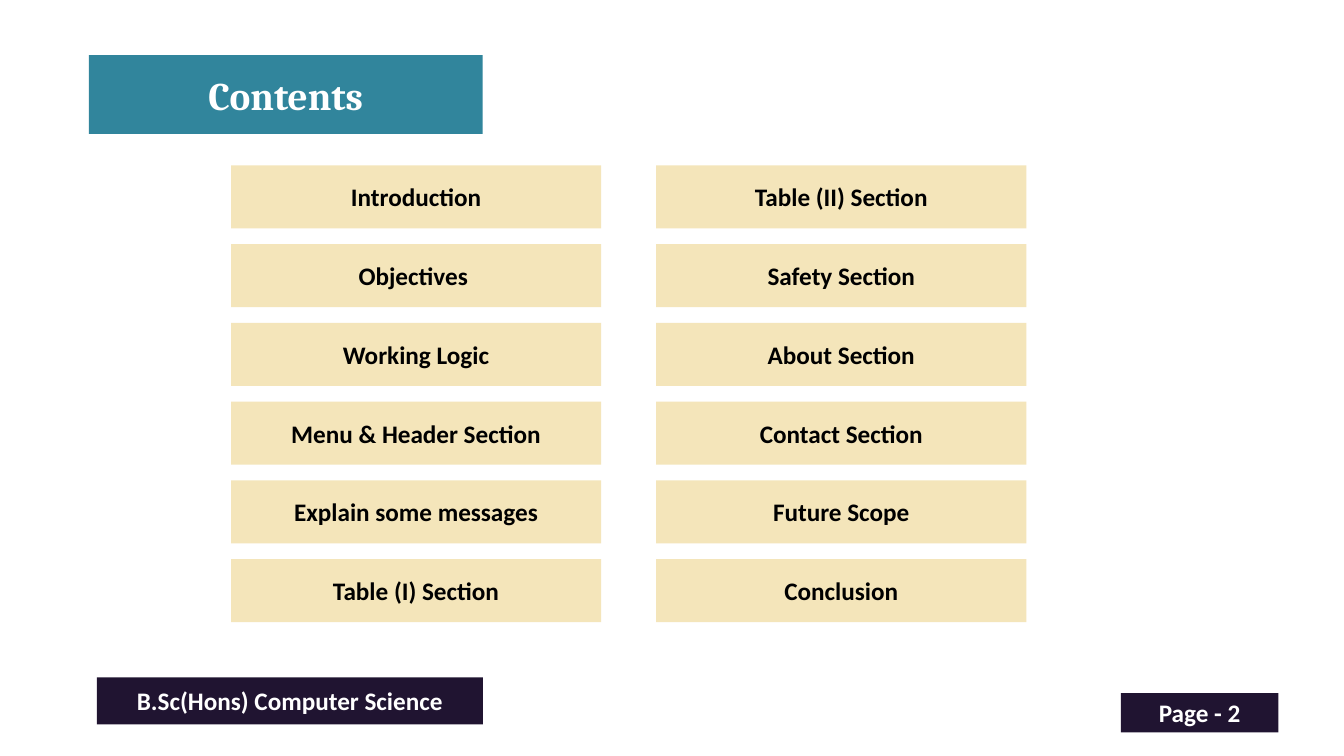
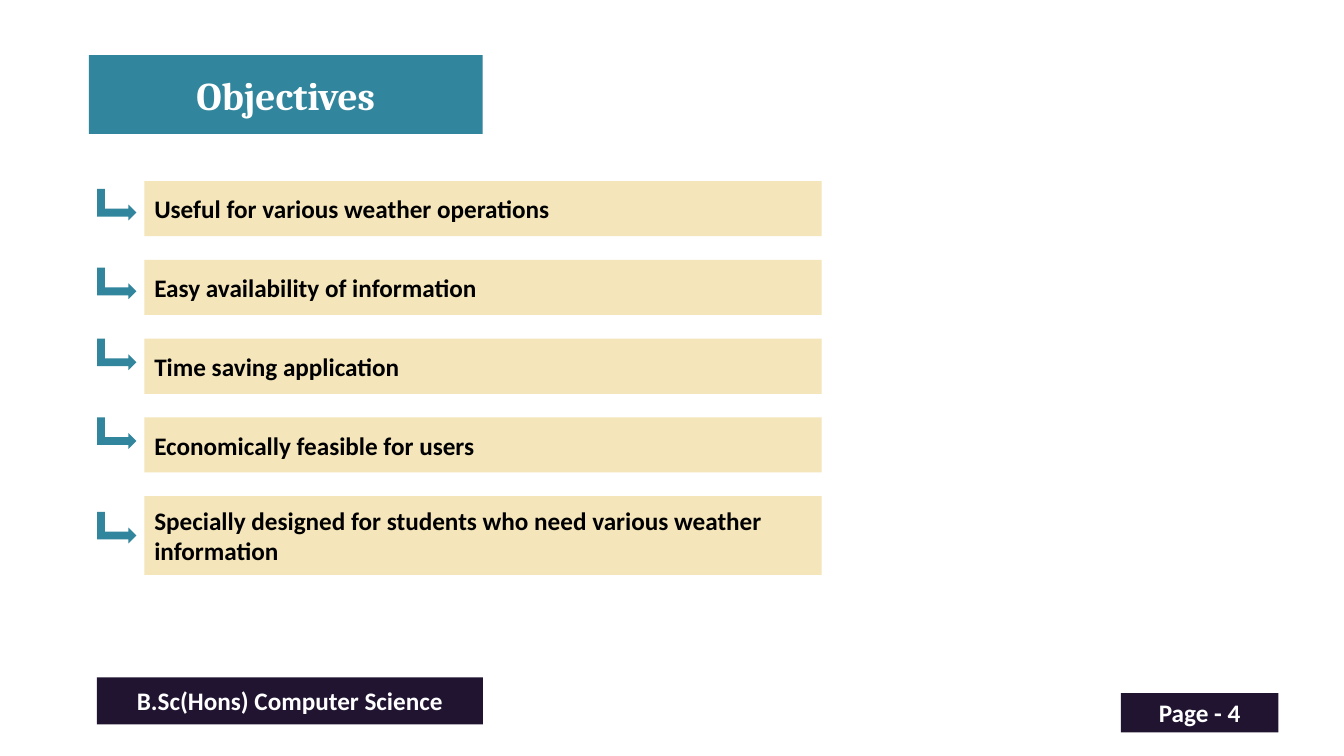
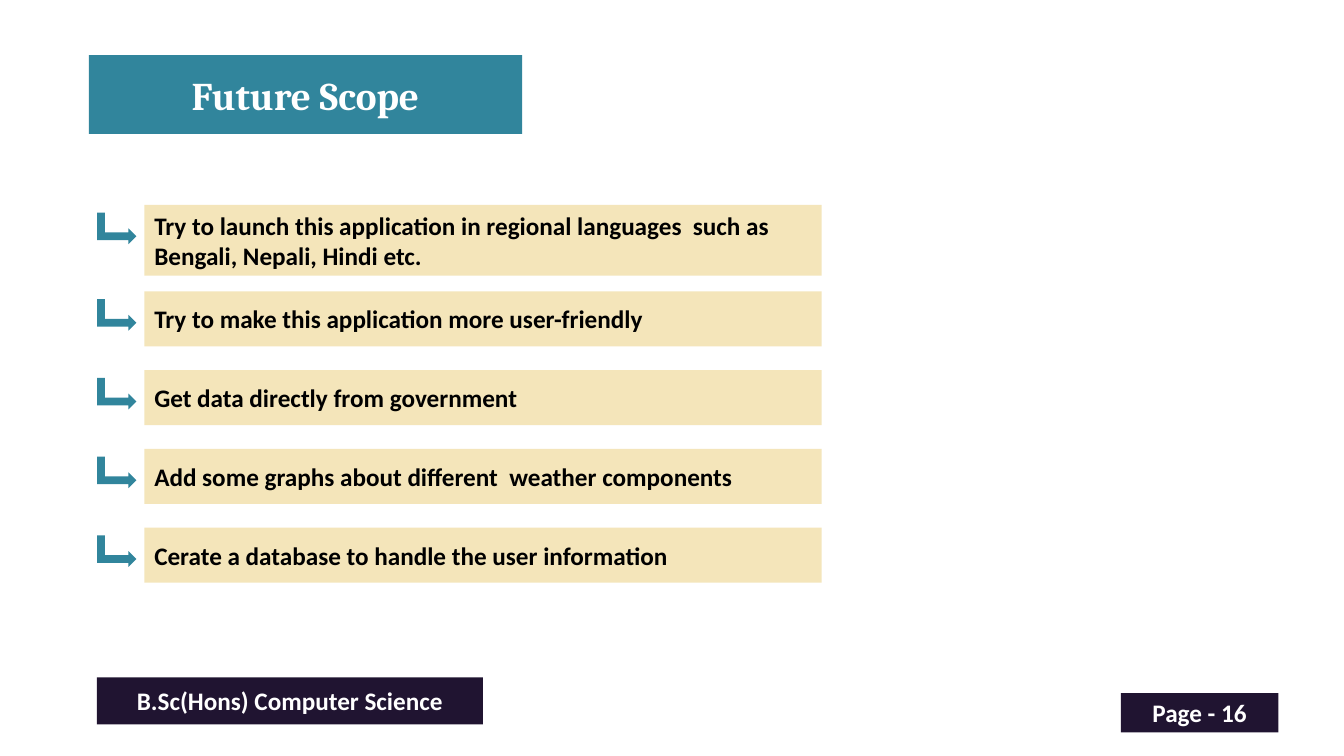
from dataclasses import dataclass

from pptx import Presentation
from pptx.dml.color import RGBColor
from pptx.enum.shapes import MSO_SHAPE as Shape
from pptx.enum.text import MSO_ANCHOR as Anchor, MSO_AUTO_SIZE as AutoSize, PP_ALIGN as Align
from pptx.util import Pt


@dataclass(frozen=True)
class Theme:
    teal: RGBColor = RGBColor.from_string("31859C")
    sand: RGBColor = RGBColor.from_string("F4E5BA")
    plum: RGBColor = RGBColor.from_string("201431")
    white: RGBColor = RGBColor.from_string("FFFFFF")
    black: RGBColor = RGBColor.from_string("000000")
    title_font: str = "Cambria"
    body_font: str = "Calibri"
    title_size: int = 28
    body_size: int = 18


ROW_PITCH = 56.25
BAR_HEIGHT = 39.4
BAR_GAP = ROW_PITCH - BAR_HEIGHT
TITLE_ONLY = 5


class Deck:
    def __init__(self, theme):
        self.theme = theme
        self.prs = Presentation()
        self.prs.slide_width, self.prs.slide_height = Pt(960), Pt(540)
        self.slide = None

    def new_slide(self, title, page, title_width=281.4):
        """Start a slide with its title band, course footer and page number."""
        theme = self.theme
        self.slide = self.prs.slides.add_slide(self.prs.slide_layouts[TITLE_ONLY])
        heading = self.slide.shapes.title
        heading.left, heading.top = Pt(63.4), Pt(39.4)
        heading.width, heading.height = Pt(title_width), Pt(56.25)
        heading.fill.solid()
        heading.fill.fore_color.rgb = theme.teal
        self.set_text(heading, title, theme.white, Align.CENTER,
                      theme.title_font, theme.title_size)
        self.bar(f"Page - {page}", 800.6, 495, 112.5, 28.1, theme.plum, theme.white)
        self.bar("B.Sc(Hons) Computer Science", 69.2, 483.8, 275.8, 33.7,
                 theme.plum, theme.white)

    def set_text(self, shape, text, color, align, font_name=None, size=None):
        frame = shape.text_frame
        frame.text = text
        frame.word_wrap = True
        frame.auto_size = AutoSize.NONE
        frame.vertical_anchor = Anchor.MIDDLE
        paragraph = frame.paragraphs[0]
        paragraph.alignment = align
        font = paragraph.font
        font.name = font_name or self.theme.body_font
        font.size = Pt(size or self.theme.body_size)
        font.bold = True
        font.color.rgb = color

    def flat_shape(self, kind, left, top, width, height, fill):
        """Add a preset shape without outline or shadow."""
        shape = self.slide.shapes.add_shape(kind, Pt(left), Pt(top), Pt(width), Pt(height))
        shape.shadow.inherit = False
        shape.fill.solid()
        shape.fill.fore_color.rgb = fill
        shape.line.fill.background()
        return shape

    def bar(self, text, left, top, width, height, fill, color, align=Align.CENTER):
        band = self.flat_shape(Shape.RECTANGLE, left, top, width, height, fill)
        self.set_text(band, text, color, align)

    def topic_grid(self, columns):
        for column, topics in enumerate(columns):
            for row, topic in enumerate(topics):
                self.bar(topic, 165 + column * 303.75, 118.1 + row * ROW_PITCH,
                         264.4, 45, self.theme.sand, self.theme.black)

    def arrow_list(self, top, points):
        """Stack bars from (text, bar height, arrow offset from the bar's top)."""
        for text, height, arrow_offset in points:
            self.bar(text, 103.1, top, 483.8, height,
                     self.theme.sand, self.theme.black, Align.LEFT)
            arrow = self.flat_shape(Shape.BENT_UP_ARROW, 72.1, top + arrow_offset,
                                    22.5, 28.1, self.theme.teal)
            arrow.rotation = 90
            top += height + BAR_GAP


def main():
    deck = Deck(Theme())

    deck.new_slide("Contents", 2)
    deck.topic_grid([
        ["Introduction", "Objectives ", "Working Logic",
         "Menu & Header Section", "Explain some messages", "Table (I) Section"],
        ["Table (II) Section", "Safety Section", "About Section",
         "Contact Section", "Future Scope", "Conclusion"],
    ])

    deck.new_slide("Objectives", 4)
    deck.arrow_list(129.4, [
        ("Useful for various weather operations", BAR_HEIGHT, 2.8),
        ("Easy availability of information", BAR_HEIGHT, 2.8),
        ("Time saving application", BAR_HEIGHT, -2.8),
        ("Economically feasible for users", BAR_HEIGHT, -2.8),
        ("Specially designed for students who need various weather information",
         56.25, 8.5),
    ])

    deck.new_slide("Future Scope", 16, title_width=309.5)
    deck.arrow_list(146.3, [
        ("Try to launch this application in regional languages  such as "
         "Bengali, Nepali, Hindi etc.", 50.6, 2.8),
    ])
    deck.arrow_list(208.1, [(text, BAR_HEIGHT, 2.8) for text in (
        "Try to make this application more user-friendly",
        "Get data directly from government",
        "Add some graphs about different  weather components",
        "Cerate a database to handle the user information",
    )])

    deck.prs.save("out.pptx")


if __name__ == "__main__":
    main()
